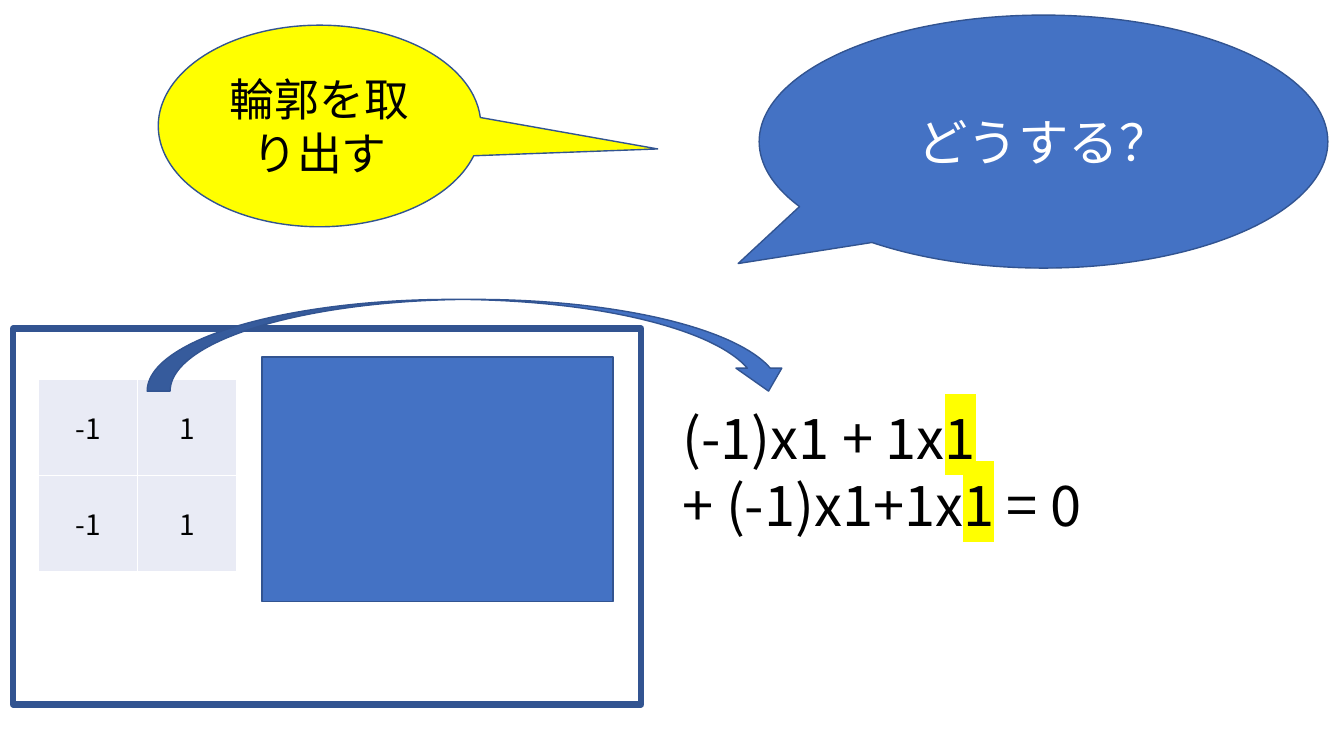
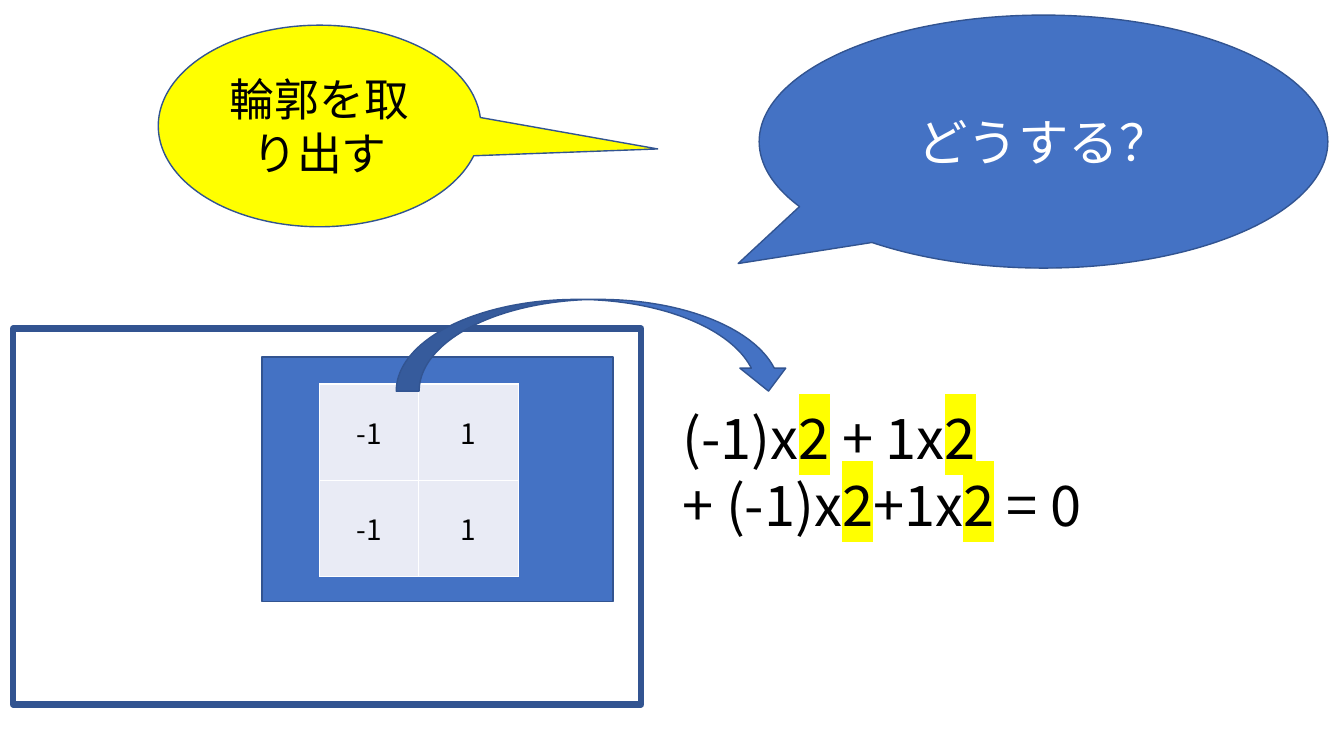
from lxml.etree import SubElement
from pptx import Presentation
from pptx.dml.color import RGBColor
from pptx.enum.shapes import MSO_SHAPE as SHAPE
from pptx.enum.text import MSO_ANCHOR as ANCHOR, MSO_AUTO_SIZE as AUTO_SIZE, PP_ALIGN as ALIGN
from pptx.oxml.ns import qn
from pptx.util import Inches, Pt

# Shared look
FONT = "Noto Sans CJK JP"
BLUE, NAVY, YELLOW = "4472C4", "325491", "FFFF00"
BLACK, WHITE, CELL_FILL = "000000", "FFFFFF", "E9EBF5"
KERNEL = [["-1", "1"], ["-1", "1"]]

# Position, outline, fill, line width, adjustments, text, text size and colour
COMMON_SHAPES = [
    (SHAPE.OVAL_CALLOUT, (1.57, 0.25, 3.2, 2), YELLOW, 1, (1.048, 0.114), "輪郭を取り出す", 32, BLACK),
    (SHAPE.OVAL_CALLOUT, (7.53, 0.15, 5.64, 2.51), BLUE, 1, (-0.537, 0.482), "どうする？", 36, WHITE),
    (SHAPE.RECTANGLE, (0.13, 3.26, 6.23, 3.73), None, 4.5, (), "", 0, BLACK),
    (SHAPE.RECTANGLE, (2.6, 3.54, 3.48, 2.43), BLUE, 1, (), "", 0, BLACK),
]

# Kernel position, arrow start, and formula lines; every second part is highlighted
STEPS = [
    ((0.38, 3.76), 1.46, ["(-1)x1 + 1x|1| ", "+ (-1)x1+1x|1| = 0"]),
    ((3.17, 3.81), 3.93, ["(-1)x|2| + 1x|2| ", "+ (-1)x|2|+1x|2| = 0"]),
]
ARROW_END = 7.85


def paint(fill, color):
    """Fill with a hex colour, or leave empty for None."""
    if color is None:
        fill.background()
    else:
        fill.solid()
        fill.fore_color.rgb = RGBColor.from_string(color)


def add_run(paragraph, text, size, color, highlight=None):
    run = paragraph.add_run()
    run.text = text
    run.font.size = Pt(size)
    run.font.name = FONT
    paint(run.font.fill, color)
    properties = run.font._element
    SubElement(properties, qn("a:ea"), typeface=FONT)
    if highlight:
        mark = SubElement(properties, qn("a:highlight"))
        SubElement(mark, qn("a:srgbClr"), val=highlight)
        properties.find(qn("a:solidFill")).addnext(mark)


presentation = Presentation()
presentation.slide_width = Inches(13.33)
presentation.slide_height = Inches(7.5)

for (kernel_left, kernel_top), arrow_left, formula in STEPS:
    slide = presentation.slides.add_slide(presentation.slide_layouts[6])
    arrow = (SHAPE.CURVED_DOWN_ARROW, (arrow_left, 2.97, ARROW_END - arrow_left, 0.91),
             BLUE, 1, (), "", 0, BLACK)

    # Kernel table, drawn above the frames and below the arrow
    for kind, box, fill, line_width, adjustments, text, size, color in COMMON_SHAPES + [arrow]:
        if kind == SHAPE.CURVED_DOWN_ARROW:
            table = slide.shapes.add_table(2, 2, Inches(kernel_left), Inches(kernel_top),
                                           Inches(1.97), Inches(1.91)).table
            table.first_row = table.horz_banding = False
            for row, values in enumerate(KERNEL):
                for column, value in enumerate(values):
                    cell = table.cell(row, column)
                    cell.vertical_anchor = ANCHOR.MIDDLE
                    properties = cell._tc.get_or_add_tcPr()
                    for side in ("a:lnL", "a:lnR", "a:lnT", "a:lnB"):
                        border = SubElement(properties, qn(side), w=str(Pt(1)))
                        border_fill = SubElement(border, qn("a:solidFill"))
                        SubElement(border_fill, qn("a:srgbClr"), val=WHITE)
                    paint(cell.fill, CELL_FILL)
                    paragraph = cell.text_frame.paragraphs[0]
                    paragraph.alignment = ALIGN.CENTER
                    add_run(paragraph, value, 20, BLACK)

        # Callouts, frames and arrow
        shape = slide.shapes.add_shape(kind, *map(Inches, box))
        shape.shadow.inherit = False
        paint(shape.fill, fill)
        paint(shape.line.fill, NAVY)
        shape.line.width = Pt(line_width)
        for index, value in enumerate(adjustments):
            shape.adjustments[index] = value
        if text:
            shape.text_frame.vertical_anchor = ANCHOR.MIDDLE
            paragraph = shape.text_frame.paragraphs[0]
            paragraph.alignment = ALIGN.CENTER
            add_run(paragraph, text, size, color)

    # Formula with the pixel values highlighted
    text_frame = slide.shapes.add_textbox(Inches(6.67), Inches(3.95), Inches(4.69), Inches(1.45)).text_frame
    text_frame.word_wrap = False
    text_frame.auto_size = AUTO_SIZE.SHAPE_TO_FIT_TEXT
    for number, line in enumerate(formula):
        paragraph = text_frame.add_paragraph() if number else text_frame.paragraphs[0]
        for index, part in enumerate(line.split("|")):
            add_run(paragraph, part, 40, BLACK, YELLOW if index % 2 else None)

presentation.save("out.pptx")
